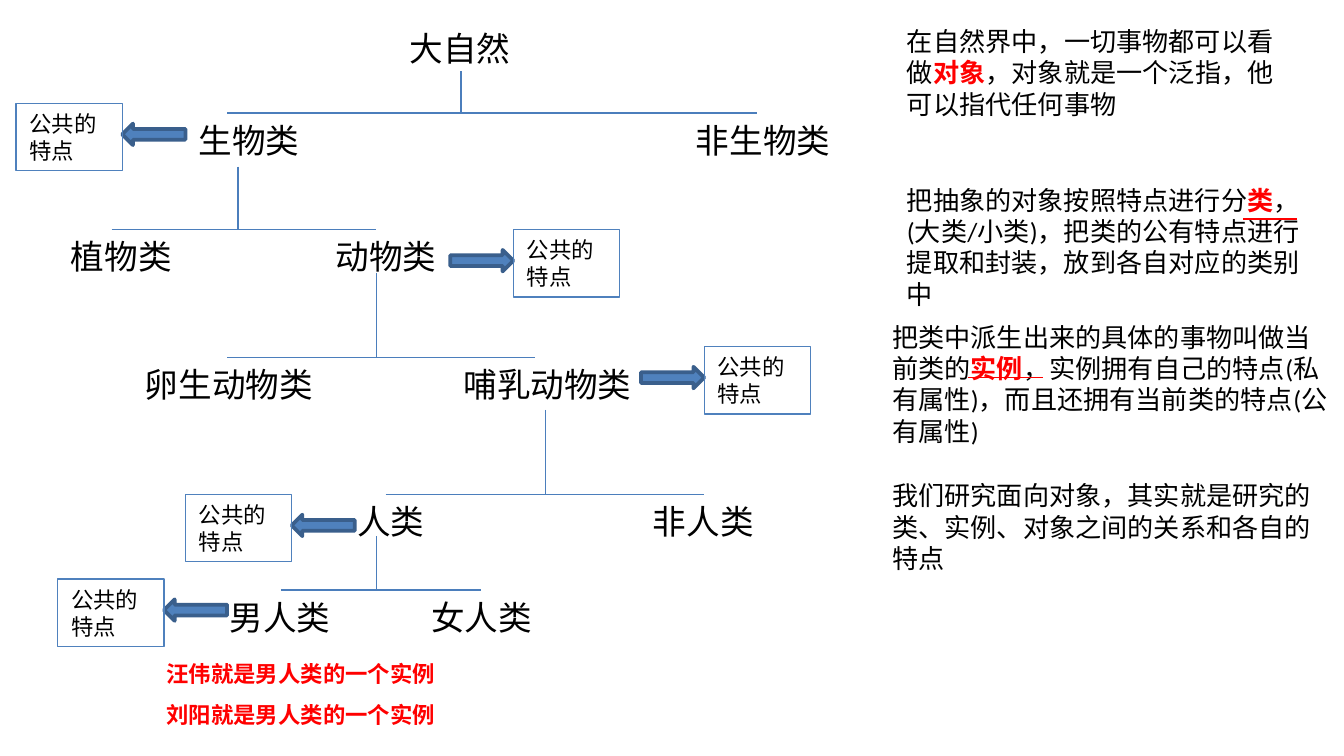
from dataclasses import dataclass

from lxml.etree import SubElement
from pptx import Presentation
from pptx.dml.color import RGBColor
from pptx.enum.shapes import MSO_CONNECTOR, MSO_SHAPE
from pptx.enum.text import MSO_ANCHOR, MSO_AUTO_SIZE, PP_ALIGN
from pptx.oxml.ns import qn
from pptx.util import Inches, Pt


@dataclass(frozen=True)
class Theme:
    font: str = "Calibri"
    ink: RGBColor = RGBColor(0, 0, 0)
    red: RGBColor = RGBColor(0xFF, 0, 0)
    blue: RGBColor = RGBColor(0x4F, 0x81, 0xBD)
    branch: RGBColor = RGBColor(0x4B, 0x7E, 0xBC)
    arrow_edge: RGBColor = RGBColor(0x3A, 0x5F, 0x8C)
    node: Pt = Pt(18)
    note: Pt = Pt(14)
    small: Pt = Pt(12)
    thin: Pt = Pt(0.75)
    thick: Pt = Pt(2)


THEME = Theme()
NODE_H = 0.4
CALLOUT_W, CALLOUT_H = 0.79, 0.5
ARROW_W, ARROW_H = 0.47, 0.16

# stem x, stem top, bar y, bar left, bar right, children (text, left, width)
BRANCHES = [
    (3.43, 0.53, 0.84, 1.69, 5.63, [("生物类", 1.38, 0.96), ("非生物类", 5.08, 1.21)]),
    (1.77, 1.24, 1.71, 0.83, 2.8, [("植物类", 0.43, 0.96), ("动物类", 2.4, 0.96)]),
    (2.8, 2.03, 2.66, 1.69, 3.98, [("卵生动物类", 0.98, 1.46), ("哺乳动物类", 3.35, 1.46)]),
    (4.06, 3.05, 3.68, 2.87, 5.24, [("人类", 2.56, 0.71), ("非人类", 4.76, 0.96)]),
    (2.8, 3.99, 4.39, 2.09, 3.58, [("男人类", 1.61, 0.96), ("女人类", 3.11, 0.96)]),
]

# left, top, whether the box stands right of its class
CALLOUTS = [
    (0.12, 0.77, False),
    (3.82, 1.71, True),
    (5.24, 2.58, True),
    (1.38, 3.68, False),
    (0.43, 4.31, False),
]

# box, runs as (text, is key term)
NOTES = [
    ((6.65, 0.14, 2.99, 0.81), [
        ("在自然界中，一切事物都可以看做", False), ("对象", True),
        ("，对象就是一个泛指，他可以指代任何事物", False)]),
    ((6.65, 1.32, 3.23, 1.04), [
        ("把抽象的对象按照特点进行分", False), ("类", True),
        ("，(大类/小类)，把类的公有特点进行提取和封装，放到各自对应的类别中", False)]),
    ((6.54, 2.34, 3.46, 1.04), [
        ("把类中派生出来的具体的事物叫做当前类的", False), ("实例", True),
        ("，实例拥有自己的特点(私有属性)，而且还拥有当前类的特点(公有属性)", False)]),
    ((6.54, 3.52, 3.46, 0.81), [
        ("我们研究面向对象，其实就是研究的类、实例、对象之间的关系和各自的特点", False)]),
]
UNDERLINES = [(9.25, 9.65, 1.63), (7.2, 7.76, 2.81)]
INSTANCES = ["汪伟就是男人类的一个实例", "刘阳就是男人类的一个实例"]


def write(sp, runs, size, wrap=True):
    """Fill a shape with one paragraph; key runs are bold red."""
    tf = sp.text_frame
    tf.word_wrap = wrap
    tf.auto_size = MSO_AUTO_SIZE.SHAPE_TO_FIT_TEXT
    p = tf.paragraphs[0]
    p.alignment = PP_ALIGN.LEFT
    for text, key in runs:
        r = p.add_run()
        r.text = text
        r.font.name = THEME.font
        r.font.size = size
        r.font.bold = key
        r.font.color.rgb = THEME.red if key else THEME.ink


def add_text(s, box, runs, size, wrap=True):
    sp = s.shapes.add_textbox(*map(Inches, box))
    write(sp, runs, size, wrap)


def add_line(s, x1, y1, x2, y2, color):
    line = s.shapes.add_connector(MSO_CONNECTOR.STRAIGHT, *map(Inches, (x1, y1, x2, y2)))
    line.line.color.rgb = color
    line.line.width = THEME.thin
    SubElement(line._element.spPr, qn("a:effectLst"))


def add_box(s, kind, box, edge, width):
    sp = s.shapes.add_shape(kind, *map(Inches, box))
    sp.shadow.inherit = False
    sp.fill.background()
    sp.line.color.rgb = edge
    sp.line.width = width
    return sp


def add_branch(s, stem_x, top, bar_y, left, right, children):
    add_line(s, stem_x, top, stem_x, bar_y, THEME.branch)
    add_line(s, left, bar_y, right, bar_y, THEME.branch)
    for text, x, w in children:
        add_text(s, (x, bar_y, w, NODE_H), [(text, False)], THEME.node, wrap=False)


def add_callout(s, left, top, on_right):
    """Box of shared features with an arrow from its class."""
    kind = MSO_SHAPE.RIGHT_ARROW if on_right else MSO_SHAPE.LEFT_ARROW
    x = left - ARROW_W if on_right else left + CALLOUT_W
    arrow = add_box(s, kind, (x, top + 0.15, ARROW_W, ARROW_H), THEME.arrow_edge, THEME.thick)
    arrow.fill.solid()
    arrow.fill.fore_color.rgb = THEME.blue
    sp = add_box(s, MSO_SHAPE.RECTANGLE, (left, top, CALLOUT_W, CALLOUT_H), THEME.blue, THEME.thin)
    write(sp, [("公共的特点", False)], THEME.small)
    sp.text_frame.vertical_anchor = MSO_ANCHOR.TOP


def add_tree(s):
    add_text(s, (2.95, 0.16, 0.96, NODE_H), [("大自然", False)], THEME.node, wrap=False)
    for branch in BRANCHES:
        add_branch(s, *branch)
    for callout in CALLOUTS:
        add_callout(s, *callout)


def add_instances(s, left, top, width, pitch):
    for i, text in enumerate(INSTANCES):
        add_text(s, (left, top + i * pitch, width, 0.3), [(text, True)], THEME.small, wrap=False)


def add_notes(s):
    for box, runs in NOTES:
        add_text(s, box, runs, THEME.note)
    for x1, x2, y in UNDERLINES:
        add_line(s, x1, y, x2, y, THEME.red)


def main():
    prs = Presentation()
    prs.slide_width = Inches(10)
    prs.slide_height = Inches(10 * 9 / 16)
    s = prs.slides.add_slide(prs.slide_layouts[6])
    add_tree(s)
    add_instances(s, 1.14, 4.86, 2.22, 0.31)
    add_notes(s)
    prs.save("out.pptx")


if __name__ == "__main__":
    main()
